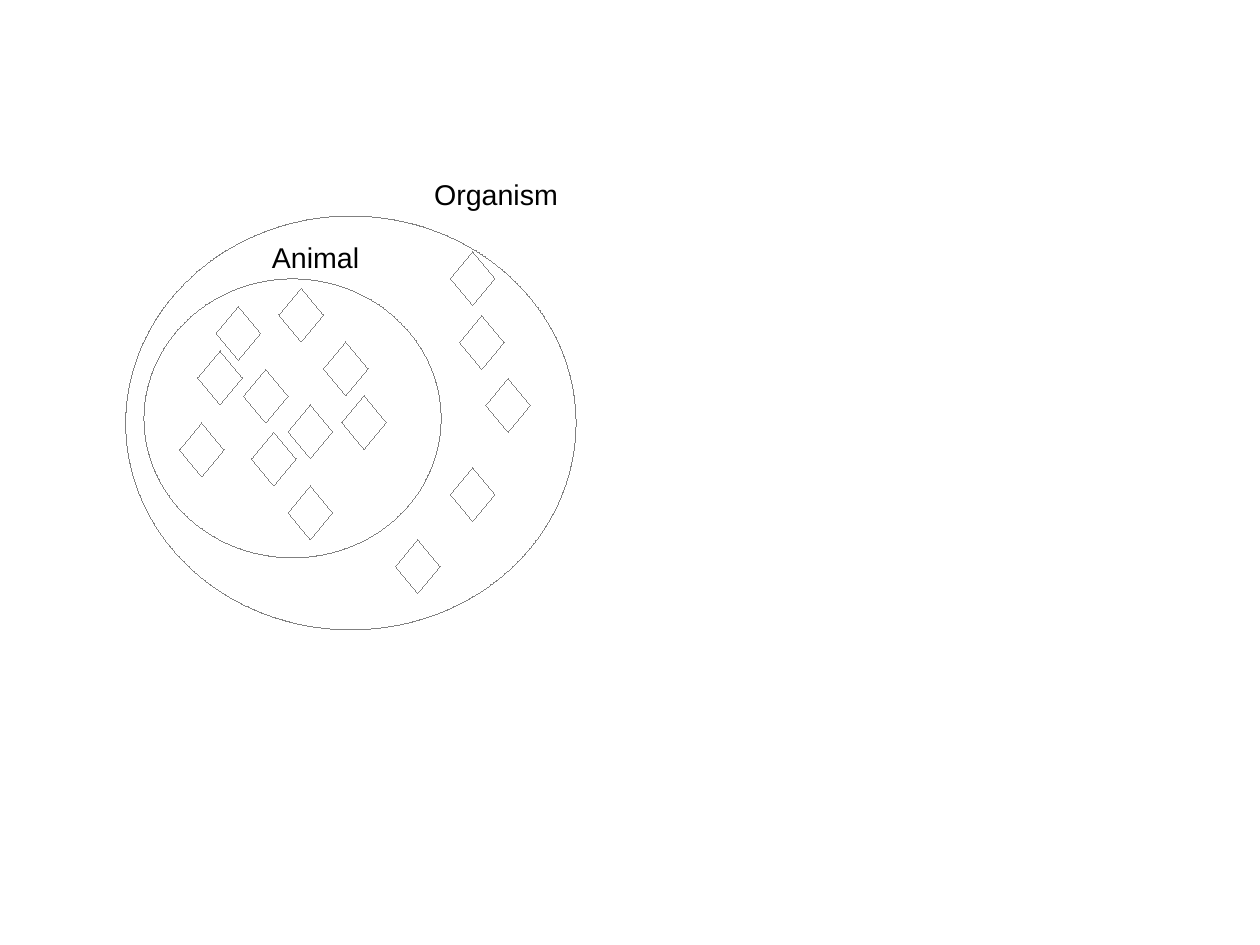
from pptx import Presentation
from pptx.dml.color import RGBColor
from pptx.enum.shapes import MSO_SHAPE as SHAPE
from pptx.enum.text import MSO_AUTO_SIZE as AUTO
from pptx.util import Emu, Inches, Pt

# Content: each set has a label, its box, its ellipse and its members' corners
SETS = [
    dict(
        label="Animal", label_box=(2.28, 2.05, 0.98, 0.38),
        ellipse=(1.26, 2.44, 2.6, 2.44),
        members=[(1.73, 3.07), (2.52, 4.25), (1.89, 2.68), (2.99, 3.46),
                 (1.57, 3.7), (2.13, 3.23), (2.83, 2.99), (2.2, 3.78),
                 (2.52, 3.54), (2.44, 2.52)],
    ),
    dict(
        label="Organism", label_box=(3.7, 1.5, 1.3, 0.38),
        ellipse=(1.1, 1.89, 3.94, 3.62),
        members=[(3.94, 2.2), (4.25, 3.31), (4.02, 2.76), (3.94, 4.09),
                 (3.46, 4.72)],
    ),
]
MEMBER_SIZE = (0.39, 0.47)
HAIRLINE = Emu(1)
GRAY = RGBColor(0x80, 0x80, 0x80)
BLACK = RGBColor(0, 0, 0)

# Page of 28 by 21 cm
prs = Presentation()
prs.slide_width, prs.slide_height = Inches(28 / 2.54), Inches(21 / 2.54)
s = prs.slides.add_slide(prs.slide_layouts[6])


def add_outline(kind, box):
    sp = s.shapes.add_shape(kind, *map(Inches, box))
    sp.shadow.inherit = False
    sp.fill.background()
    sp.line.color.rgb = GRAY
    sp.line.width = HAIRLINE


def add_text(text, box, size=18, font="Arial", color=BLACK):
    tf = s.shapes.add_textbox(*map(Inches, box)).text_frame
    tf.word_wrap = False
    tf.auto_size = AUTO.SHAPE_TO_FIT_TEXT
    r = tf.paragraphs[0].add_run()
    r.text = text
    r.font.size = Pt(size)
    r.font.name = font
    r.font.color.rgb = color


# Label, members and boundary of each set
for group in SETS:
    add_text(group["label"], group["label_box"])
    for corner in group["members"]:
        add_outline(SHAPE.DIAMOND, corner + MEMBER_SIZE)
    add_outline(SHAPE.OVAL, group["ellipse"])

prs.save("out.pptx")
